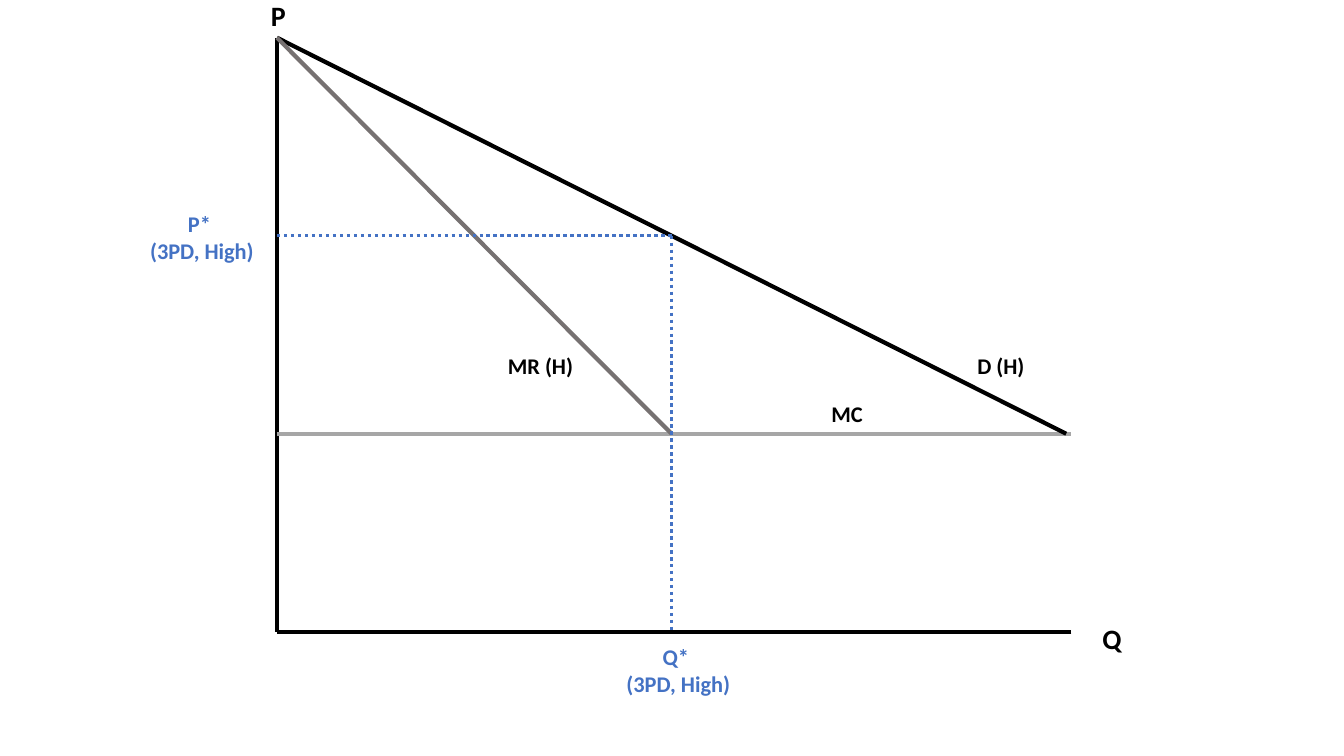
import pptx
import pptx.dml.color
import pptx.enum.dml
import pptx.enum.shapes
import pptx.enum.text
import pptx.oxml.ns
import pptx.util
import lxml.etree

Cm = pptx.util.Cm
RGBColor = pptx.dml.color.RGBColor

BLACK = RGBColor(0x00, 0x00, 0x00)
WHITE = RGBColor(0xFF, 0xFF, 0xFF)
MC_GRAY = RGBColor(0xA6, 0xA6, 0xA6)
MR_GRAY = RGBColor(0x76, 0x71, 0x71)
BLUE = RGBColor(0x44, 0x72, 0xC4)
DOTTED = pptx.enum.dml.MSO_LINE.ROUND_DOT

AXIS_X, AXIS_Y = 6.98, 15.93
AXIS_END = 27.0
CHOKE_PRICE = 0.95
MARGINAL_COST = 10.93
DEMAND_END = 26.87
BEST_QUANTITY = (AXIS_X + DEMAND_END) / 2
BEST_PRICE = (CHOKE_PRICE + MARGINAL_COST) / 2


class Diagram:
    """Draws the curves and labels of an economics diagram on one slide."""

    font = "Calibri"

    def __init__(self, slide):
        self.shapes = slide.shapes

    def line(self, start, end, color, width=3, dash=None):
        """Draw a straight line between two points in centimetres."""
        line = self.shapes.add_connector(
            pptx.enum.shapes.MSO_CONNECTOR.STRAIGHT,
            *(Cm(value) for value in start + end))
        line.line.color.rgb = color
        line.line.width = pptx.util.Pt(width)
        if dash is not None:
            line.line.dash_style = dash
        properties = line._element.spPr
        lxml.etree.SubElement(properties, pptx.oxml.ns.qn("a:effectLst"))

    def set_text(self, shape, text, color, size, align):
        """Put bold text into a shape."""
        frame = shape.text_frame
        frame.text = text
        frame.word_wrap = True
        frame.vertical_anchor = pptx.enum.text.MSO_ANCHOR.TOP
        frame.auto_size = pptx.enum.text.MSO_AUTO_SIZE.SHAPE_TO_FIT_TEXT
        for paragraph in frame.paragraphs:
            paragraph.alignment = align
            for run in paragraph.runs:
                run.font.name = self.font
                run.font.size = pptx.util.Pt(size)
                run.font.bold = True
                run.font.color.rgb = color

    def label(self, text, box, color=BLACK, size=16,
              align=pptx.enum.text.PP_ALIGN.LEFT):
        """Add a text label without a background."""
        label = self.shapes.add_textbox(*(Cm(value) for value in box))
        self.set_text(label, text, color, size, align)

    def panel(self, text, box, color):
        """Add a centred label on a white rectangle."""
        panel = self.shapes.add_shape(
            pptx.enum.shapes.MSO_SHAPE.RECTANGLE,
            *(Cm(value) for value in box))
        panel.shadow.inherit = False
        panel.fill.solid()
        panel.fill.fore_color.rgb = WHITE
        panel.line.fill.background()
        self.set_text(panel, text, color, 16, pptx.enum.text.PP_ALIGN.CENTER)


def main():
    """Build the pricing diagram and save it."""
    deck = pptx.Presentation()
    deck.slide_width, deck.slide_height = Cm(33.87), Cm(19.05)
    diagram = Diagram(deck.slides.add_slide(deck.slide_layouts[6]))

    origin = (AXIS_X, AXIS_Y)
    choke = (AXIS_X, CHOKE_PRICE)
    optimum = (BEST_QUANTITY, BEST_PRICE)
    diagram.line(choke, origin, BLACK)
    diagram.line((AXIS_END, AXIS_Y), origin, BLACK)
    diagram.line((AXIS_X, MARGINAL_COST), (AXIS_END, MARGINAL_COST),
                 MC_GRAY, 2.5)
    diagram.line(choke, (DEMAND_END, MARGINAL_COST), BLACK)
    diagram.line(choke, (BEST_QUANTITY, MARGINAL_COST), MR_GRAY)
    diagram.line((AXIS_X, BEST_PRICE), optimum, BLUE, 2.5, DOTTED)
    diagram.line(optimum, (BEST_QUANTITY, AXIS_Y), BLUE, 2.5, DOTTED)

    diagram.label("MR (H)", (12.55, 8.74, 3.02, 0.94))
    diagram.label("D (H)", (24.38, 8.74, 2.54, 0.94))
    diagram.label("MC", (20.7, 9.96, 1.52, 0.94))
    diagram.label("Q* \n(3PD, High)", (15.34, 16.08, 3.51, 1.62), BLUE,
                  align=pptx.enum.text.PP_ALIGN.CENTER)
    diagram.label("P", (6.58, -0.15, 1.47, 1.12), size=20)
    diagram.label("Q", (27.53, 15.54, 1.24, 1.12), size=20)
    diagram.panel("P* \n(3PD, High)", (3.45, 5.18, 3.28, 1.62), BLUE)

    deck.save("out.pptx")


if __name__ == "__main__":
    main()
